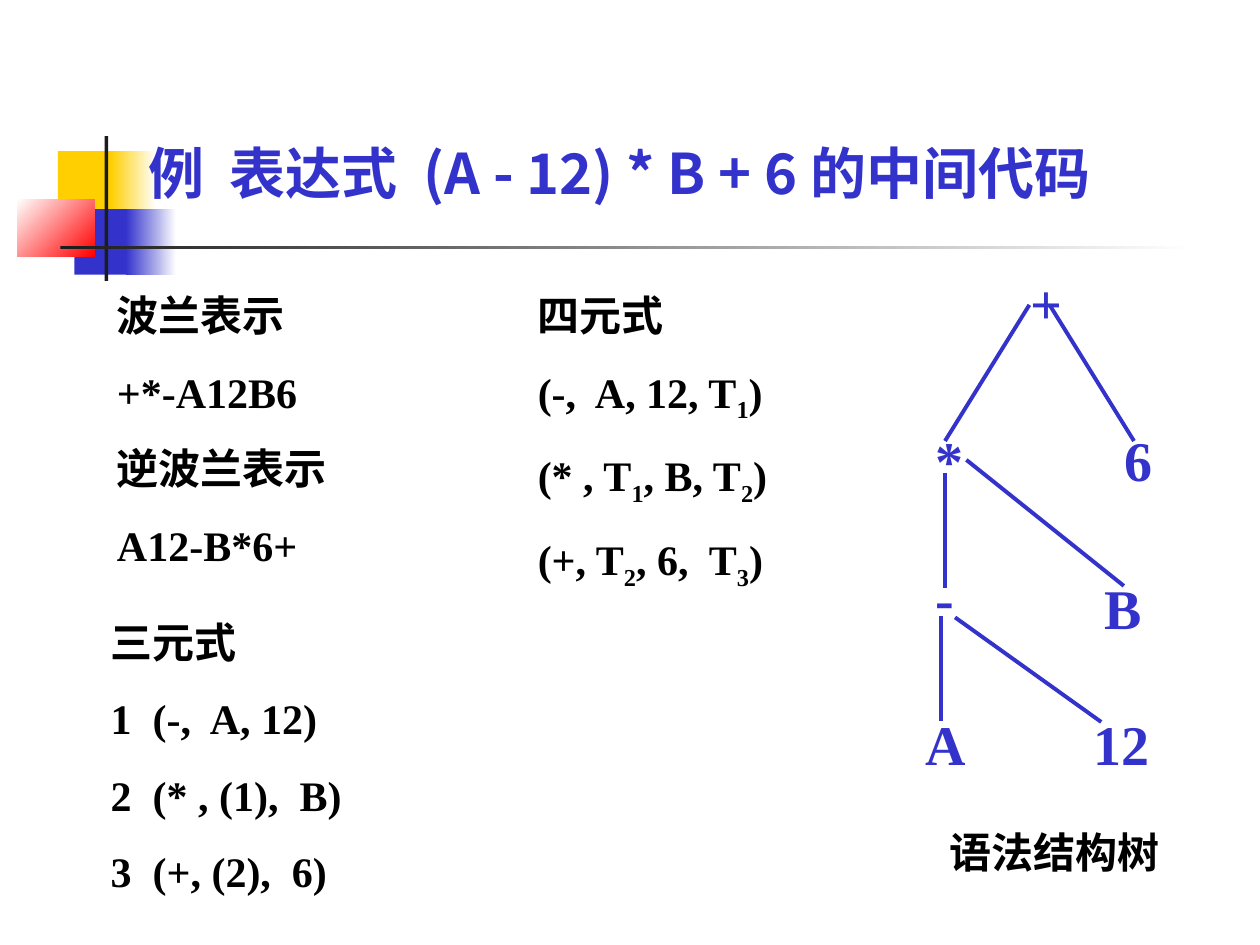
from lxml import etree
from pptx import Presentation
from pptx.dml.color import RGBColor
from pptx.enum.shapes import MSO_CONNECTOR, MSO_SHAPE
from pptx.enum.text import MSO_AUTO_SIZE as AUTO_SIZE
from pptx.oxml.ns import qn
from pptx.util import Inches, Pt

BLUE, YELLOW, RED = "3333CC", "FFCF01", "FF0000"
DARK, WHITE, BLACK = "1C1C1C", "FFFFFF", "000000"
CJK = "Noto Sans CJK JP"

prs = Presentation()
prs.slide_width, prs.slide_height = Inches(10), Inches(7.5)
s = prs.slides.add_slide(prs.slide_layouts[6])


def rgb(color):
    """Turn a hex string into a colour."""
    return RGBColor.from_string(color)


def add_text(text, box, size=24, color=BLACK, font="Times New Roman",
             before=15, spacing=None, grow=True):
    """Add a bold text box; "_" makes the next character a subscript."""
    tf = s.shapes.add_textbox(*map(Inches, box)).text_frame
    tf.word_wrap = True
    tf.auto_size = AUTO_SIZE.SHAPE_TO_FIT_TEXT if grow else AUTO_SIZE.NONE
    for i, line in enumerate(text.split("\n")):
        p = tf.add_paragraph() if i else tf.paragraphs[0]
        p.space_before = Pt(before)
        p.line_spacing = spacing
        first, *rest = line.split("_")
        runs = [(first, False)]
        for part in rest:
            runs += [(part[0], True), (part[1:], False)]
        for content, is_subscript in runs:
            r = p.add_run()
            r.text = content
            r.font.size, r.font.bold, r.font.name = Pt(size), True, font
            r.font.color.rgb = rgb(color)
            rPr = r._r.get_or_add_rPr()
            etree.SubElement(rPr, qn("a:ea")).set("typeface", CJK)
            if is_subscript:
                rPr.set("baseline", "-25000")


# Decoration: box, colours (two make a gradient), gradient angle
decoration = [
    ((0.46, 1.2, 0.48, 0.52), [YELLOW], 0),
    ((0.88, 1.2, 0.36, 0.52), [YELLOW, WHITE], 0),
    ((0.59, 1.66, 0.46, 0.52), [BLUE], 0),
    ((1, 1.66, 0.4, 0.52), [BLUE, WHITE], 0),
    ((0.14, 1.58, 0.61, 0.46), [WHITE, RED], 315),
    ((0.83, 1.08, 0.03, 1.15), [DARK], 0),
    ((0.48, 1.95, 9, 0.03), [DARK, WHITE], 0),
]
for box, colors, angle in decoration:
    sp = s.shapes.add_shape(MSO_SHAPE.RECTANGLE, *map(Inches, box))
    sp.shadow.inherit = False
    sp.line.fill.background()
    if len(colors) == 1:
        sp.fill.solid()
        sp.fill.fore_color.rgb = rgb(colors[0])
    else:
        sp.fill.gradient()
        sp.fill.gradient_angle = angle
        for stop, color in zip(sp.fill.gradient_stops, colors):
            stop.color.rgb = rgb(color)

add_text("例  表达式  (A - 12) * B + 6 的中间代码", (1.08, 1, 8.67, 0.83),
         size=32, color=BLUE, font=CJK, before=8, spacing=1.1, grow=False)

# Intermediate code forms
add_text("四元式\n(-,  A, 12, T_1)\n(* , T_1, B, T_2)\n(+, T_2, 6,  T_3)",
         (4.17, 2.25, 2.17, 2.49))
add_text("三元式\n1  (-,  A, 12)\n2  (* , (1),  B)\n3  (+, (2),  6)",
         (0.78, 4.84, 2.08, 2.33))
add_text("波兰表示\n+*-A12B6\n逆波兰表示\nA12-B*6+", (0.83, 2.25, 1.92, 2.33))

# Syntax tree
nodes = [
    ("+", 8.08, 2.08, 0.83),
    ("*", 7.33, 3.33, 0.58),
    ("6", 8.83, 3.33, 0.75),
    ("-", 7.33, 4.42, 0.67),
    ("B", 8.67, 4.5, 0.67),
    ("A", 7.25, 5.58, 0.67),
    ("12", 8.58, 5.58, 0.83),
]
for label, left, top, width in nodes:
    add_text(label, (left, top, width, 0.64), size=32, color=BLUE, before=20)

edges = [
    (8.17, 2.42, 7.5, 3.5),
    (8.33, 2.42, 9, 3.5),
    (7.5, 3.75, 7.5, 4.67),
    (7.67, 3.65, 8.92, 4.65),
    (7.47, 4.89, 7.47, 5.72),
    (7.58, 4.9, 8.74, 5.73),
]
for ends in edges:
    edge = s.shapes.add_connector(MSO_CONNECTOR.STRAIGHT, *map(Inches, ends))
    edge.line.color.rgb = rgb(BLUE)
    edge.line.width = Pt(2.24)
    etree.SubElement(edge._element.spPr, qn("a:effectLst"))

add_text("语法结构树", (7.44, 6.51, 1.89, 0.5), font="Noto Sans")

prs.save("out.pptx")
